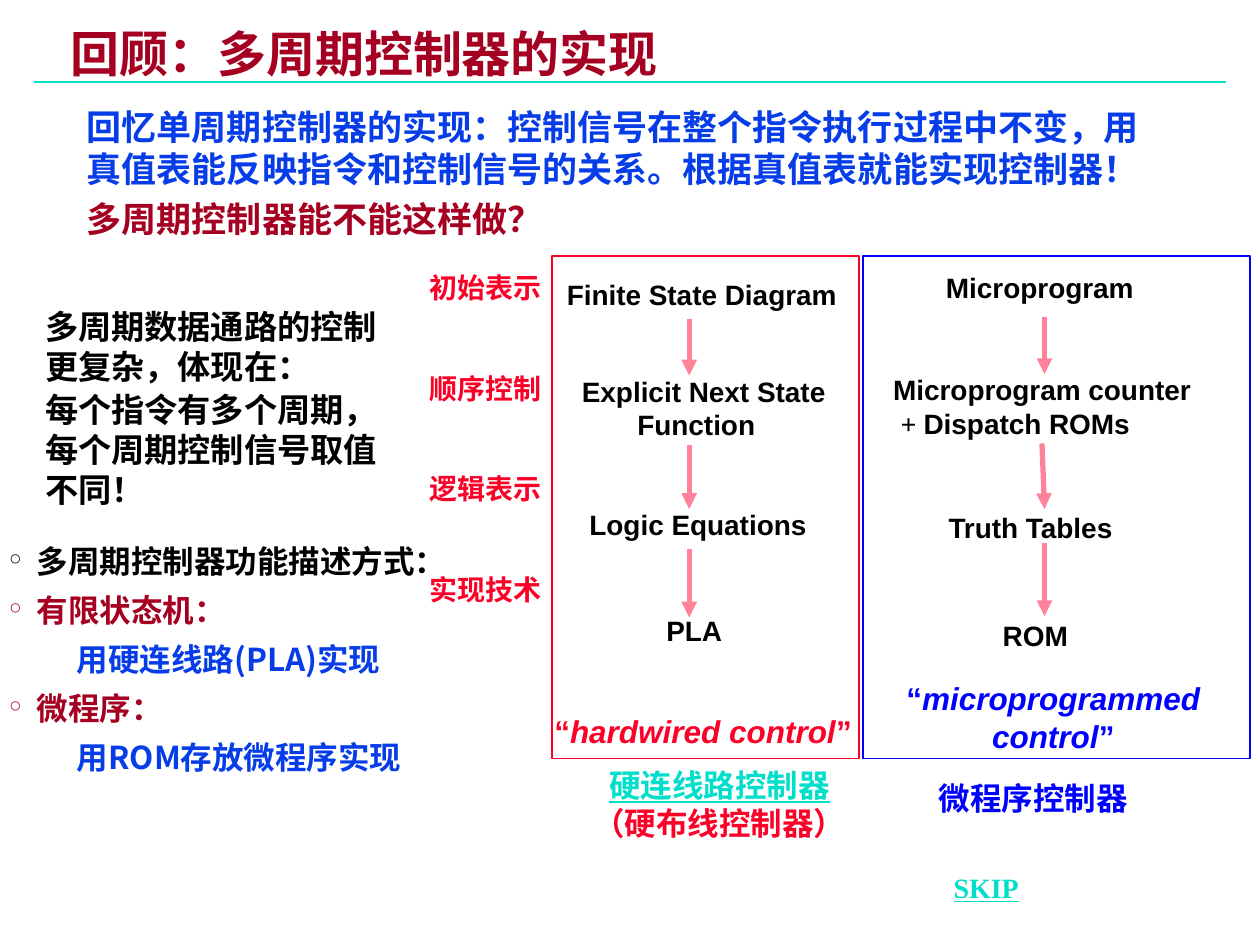
"""Build the slide reviewing how a multi-cycle controller is implemented."""
import pptx
import pptx.util
import pptx.dml.color
import pptx.enum.shapes
import pptx.enum.text
import pptx.oxml.ns
from lxml import etree

COLORS = {"black": "000000", "maroon": "A50021", "blue": "063DE8", "navy": "0000FF",
          "red": "FC0128", "teal": "00DFCA", "pink": "FF8398"}
HAN, SANS, SERIF = "Noto Sans CJK SC", "Arial", "Times New Roman"

TITLE = "回顾：多周期控制器的实现"
RECALL = [
    ("回忆单周期控制器的实现：控制信号在整个指令执行过程中不变，用真值表能反映指令和控制信号的关系。"
     "根据真值表就能实现控制器！", "blue"),
    ("多周期控制器能不能这样做？", "maroon"),
]
COMPLEXITY = [
    ("多周期数据通路的控制更复杂，体现在：", "black"),
    ("每个指令有多个周期，每个周期控制信号取值不同！", "black"),
]
DESCRIPTIONS = [
    ("多周期控制器功能描述方式：", "black", True),
    ("有限状态机：", "maroon", True),
    ("用硬连线路(PLA)实现", "blue", False),
    ("微程序：", "maroon", True),
    ("用ROM存放微程序实现", "blue", False),
]
STAGES = ["初始表示", "顺序控制", "逻辑表示", "实现技术"]
FLOWS = [
    {"frame": (4.38, 2.03, 2.44, 3.99), "color": "red",
     "steps": [(4.4, 2.15, ["Finite State Diagram"], 0),
               (4.52, 2.92, ["Explicit Next State", "Function"], 0.44),
               (4.58, 3.98, ["Logic Equations"], 0),
               (5.19, 4.82, ["PLA"], 0)],
     "arrows": [(5.47, 2.53, 5.47, 2.98), (5.47, 3.53, 5.47, 4.04), (5.47, 4.36, 5.47, 4.9)],
     "kind": "hardwired control", "kind_at": (4.18, 5.6, 2.8, 0.4)},
    {"frame": (6.85, 2.03, 3.07, 3.99), "color": "navy",
     "steps": [(7.41, 2.1, ["Microprogram"], 0),
               (6.99, 2.91, ["Microprogram counter", "+ Dispatch ROMs"], 0.06),
               (7.43, 4, ["Truth Tables"], 0),
               (7.86, 4.86, ["ROM"], 0)],
     "arrows": [(8.29, 2.52, 8.29, 2.97), (8.27, 3.52, 8.29, 4.04), (8.29, 4.31, 8.29, 4.89)],
     "kind": "microprogrammed control", "kind_at": (7.01, 5.34, 2.7, 0.7)},
]
STEP_WIDTH, STEP_LINE = 2.7, 0.3
STAGE_PITCH = 57.5
LINE_RATIO = 1.2
CENTER = pptx.enum.text.PP_ALIGN.CENTER


def inches(values):
    return [pptx.util.Inches(value) for value in values]


def rgb(color):
    return pptx.dml.color.RGBColor.from_string(COLORS[color])


def style(run, size, font, color, italic=False, underline=False):
    run.font.size = pptx.util.Pt(size)
    run.font.name = font
    run.font.bold = True
    run.font.italic = italic
    run.font.underline = underline
    run.font.color.rgb = rgb(color)
    east_asian = etree.SubElement(run.font._element, pptx.oxml.ns.qn("a:ea"))
    east_asian.set("typeface", HAN)


def set_insets(frame, side, end):
    frame.margin_left = frame.margin_right = pptx.util.Inches(side)
    frame.margin_top = frame.margin_bottom = pptx.util.Inches(end)


def add_text(slide, at, lines, size, font=HAN, gap=0, align=None):
    """Add a text box; each line is a list of (text, color, overrides) runs."""
    frame = slide.shapes.add_textbox(*inches(at)).text_frame
    frame.word_wrap = True
    for index, runs in enumerate(lines):
        paragraph = frame.add_paragraph() if index else frame.paragraphs[0]
        paragraph.alignment = align
        if index and gap:
            paragraph.space_before = pptx.util.Pt(gap)
        for text, color, overrides in runs:
            run = paragraph.add_run()
            run.text = text
            style(run, **{"size": size, "font": font, "color": color, **overrides})
    return frame


def plain(lines):
    return [[(text, color, {})] for text, color in lines]


def indent(paragraph, margin, hanging=0, bullet=None):
    properties = paragraph._p.get_or_add_pPr()
    properties.set("marL", str(pptx.util.Inches(margin)))
    properties.set("indent", str(-pptx.util.Inches(hanging)))
    if bullet:
        etree.SubElement(properties, pptx.oxml.ns.qn("a:buChar")).set("char", bullet)


def add_line(slide, ends, color, width, arrow=False):
    line = slide.shapes.add_connector(pptx.enum.shapes.MSO_CONNECTOR.STRAIGHT, *inches(ends))
    line.line.color.rgb = rgb(color)
    line.line.width = pptx.util.Pt(width)
    if arrow:
        tail = etree.SubElement(line.line._get_or_add_ln(), pptx.oxml.ns.qn("a:tailEnd"))
        tail.set("type", "triangle")
    etree.SubElement(line._element.spPr, pptx.oxml.ns.qn("a:effectLst"))


def add_title(slide):
    title = slide.shapes.title
    title.left, title.top, title.width, title.height = inches((0.49, 0.22, 6.66, 0.46))
    frame = title.text_frame
    frame.text = TITLE
    frame.vertical_anchor = pptx.enum.text.MSO_ANCHOR.MIDDLE
    set_insets(frame, 0.07, 0.03)
    heading = frame.paragraphs[0]
    heading.alignment = pptx.enum.text.PP_ALIGN.LEFT
    heading.line_spacing = 0.87
    style(heading.runs[0], 28, SANS, "maroon")


def add_descriptions(slide):
    lines = plain([(text, color) for text, color, _ in DESCRIPTIONS])
    frame = add_text(slide, (0, 4.18, 4.6, 2.02), lines, 18)
    set_insets(frame, 0.07, 0.03)
    for paragraph, (_, _, bulleted) in zip(frame.paragraphs, DESCRIPTIONS):
        paragraph.line_spacing = 1.3
        if bulleted:
            indent(paragraph, 0.22, 0.22, "°")
        else:
            indent(paragraph, 0.54)


def step_runs(line):
    if line.startswith("+ "):
        return [("+ ", "black", {"font": SERIF}), (line[2:], "black", {})]
    return [(line, "black", {})]


def add_flow(slide, flow):
    color = flow["color"]
    frame = slide.shapes.add_shape(pptx.enum.shapes.MSO_SHAPE.RECTANGLE, *inches(flow["frame"]))
    frame.shadow.inherit = False
    frame.fill.background()
    frame.line.color.rgb = rgb(color)
    frame.line.width = pptx.util.Pt(1)
    for ends in flow["arrows"]:
        add_line(slide, ends, "pink", 3, arrow=True)
    for left, top, lines, offset in flow["steps"]:
        at = (left, top, STEP_WIDTH, 0.07 + STEP_LINE * len(lines))
        step = add_text(slide, at, [step_runs(line) for line in lines], 16, SANS)
        for paragraph in step.paragraphs[1:]:
            indent(paragraph, offset)
    kind = [("“", color, {}), (flow["kind"], color, {"italic": True}), ("”", color, {})]
    add_text(slide, flow["kind_at"], [kind], 18, SANS, align=CENTER)


def main():
    deck = pptx.Presentation()
    deck.slide_width, deck.slide_height = inches((10, 7.5))
    slide = deck.slides.add_slide(deck.slide_layouts[5])
    add_line(slide, (0.27, 0.65, 9.73, 0.65), "teal", 1.5)
    add_title(slide)
    add_descriptions(slide)
    add_text(slide, (0.59, 0.79, 8.75, 1.17), plain(RECALL), 20, gap=4.5)
    add_text(slide, (0.26, 2.38, 3.06, 1.8), plain(COMPLEXITY), 19, gap=2)
    add_text(slide, (3.31, 2.1, 1.32, 3.58), plain([(stage, "red") for stage in STAGES]),
             16, gap=STAGE_PITCH - 16 * LINE_RATIO)
    for flow in FLOWS:
        add_flow(slide, flow)
    hardwired = [[("硬连线路控制器", "teal", {"underline": True})], [("（硬布线控制器）", "red", {})]]
    add_text(slide, (4.6, 6.03, 2.22, 0.7), hardwired, 18, align=CENTER)
    add_text(slide, (7.35, 6.13, 2.11, 0.4), plain([("微程序控制器", "navy")]), 18)
    add_text(slide, (7.47, 6.86, 1.68, 0.37), [[("SKIP", "teal", {"underline": True})]], 16, SERIF)
    deck.save("out.pptx")


if __name__ == "__main__":
    main()
